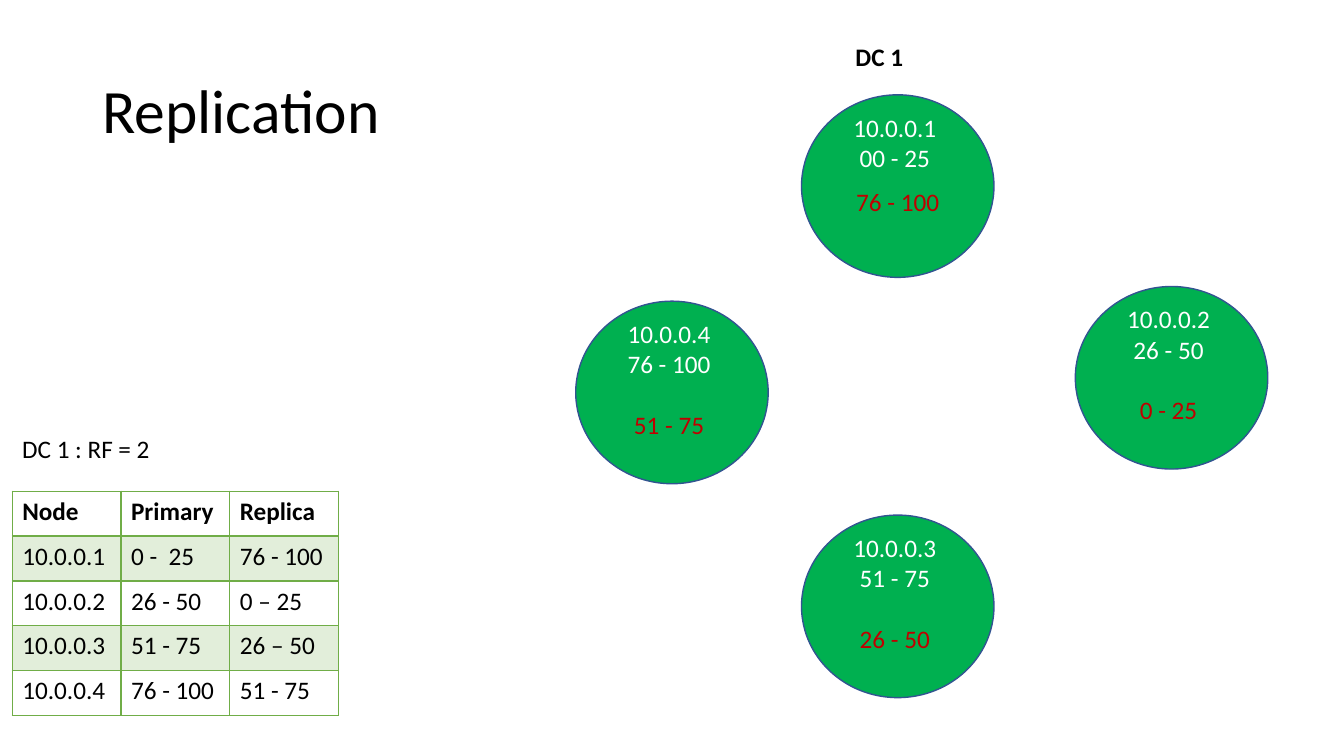
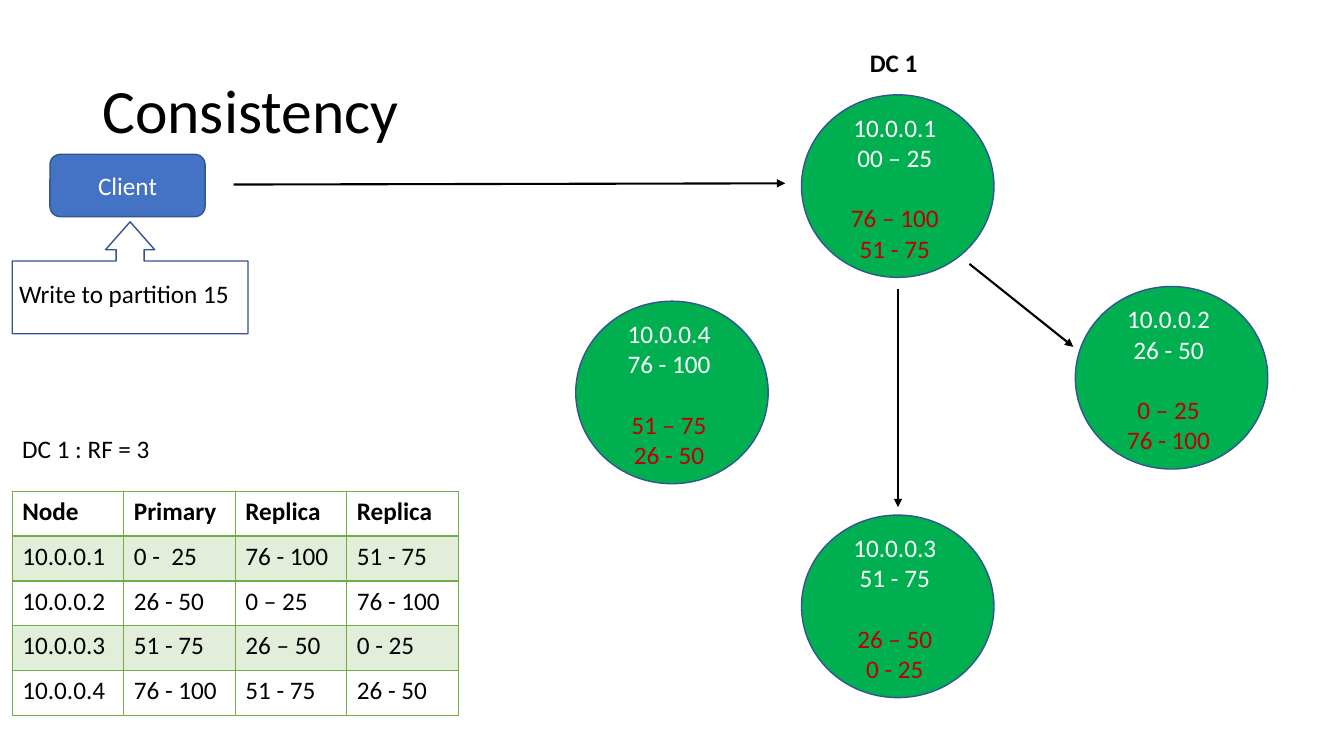
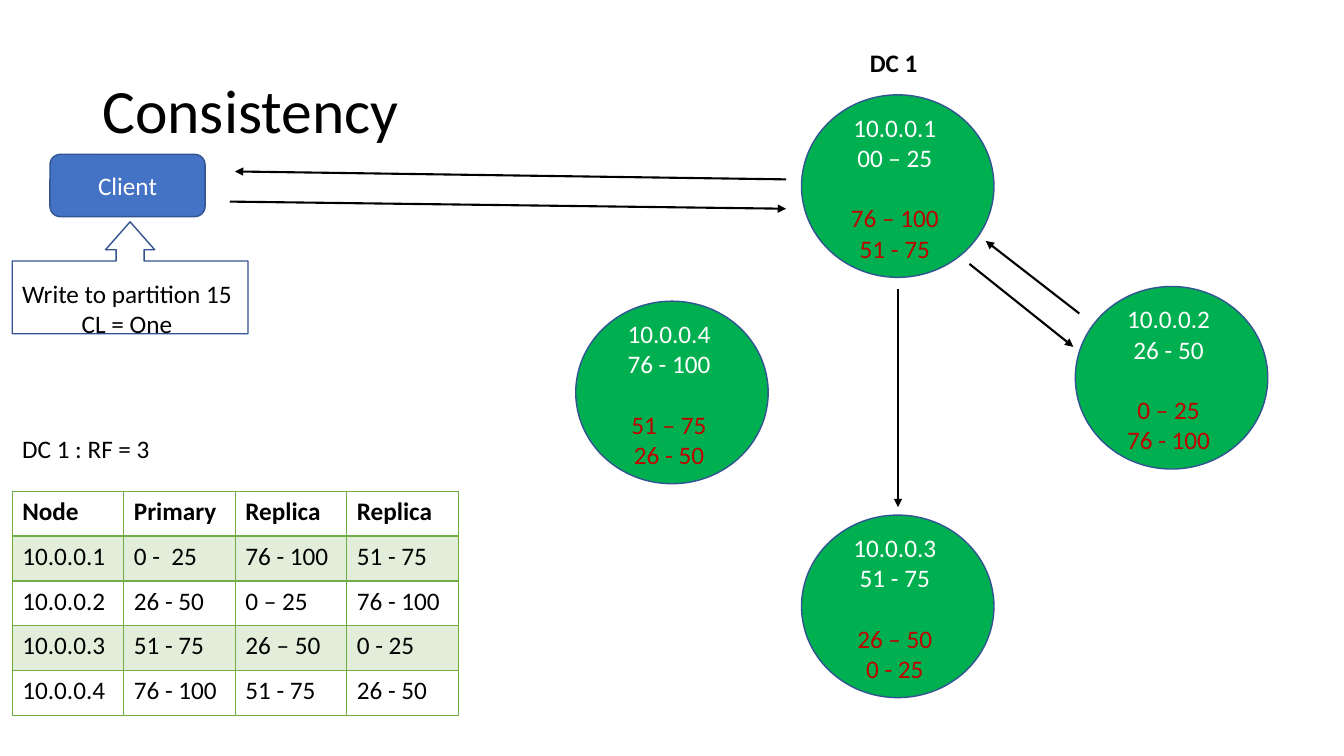
from lxml import etree
from pptx import Presentation
from pptx.dml.color import RGBColor
from pptx.enum.shapes import MSO_CONNECTOR, MSO_SHAPE
from pptx.enum.text import MSO_ANCHOR, MSO_AUTO_SIZE, PP_ALIGN
from pptx.oxml.ns import qn
from pptx.util import Cm, Pt

ELLIPSE = MSO_SHAPE.OVAL
ROUNDED = MSO_SHAPE.ROUNDED_RECTANGLE
CALLOUT = MSO_SHAPE.UP_ARROW_CALLOUT
STRAIGHT = MSO_CONNECTOR.STRAIGHT
LEFT, CENTER = PP_ALIGN.LEFT, PP_ALIGN.CENTER
MIDDLE = MSO_ANCHOR.MIDDLE
GROW = MSO_AUTO_SIZE.SHAPE_TO_FIT_TEXT

BLACK = RGBColor(0x00, 0x00, 0x00)
WHITE = RGBColor(0xFF, 0xFF, 0xFF)
RED = RGBColor(0xC0, 0x00, 0x00)
NODE_GREEN = RGBColor(0x00, 0xB0, 0x50)
TABLE_GREEN = RGBColor(0x70, 0xAD, 0x47)
CLIENT_BLUE = RGBColor(0x44, 0x72, 0xC4)
OUTLINE = RGBColor(0x32, 0x54, 0x91)

BODY = {"name": "Calibri", "size": Pt(18), "bold": False}
STRONG = {**BODY, "bold": True}
HEADING = {**BODY, "size": Pt(44)}
BLANK_LINE = Pt(21.5)

TITLE_BOX = (2.33, 1.01, 29.21, 3.68)
RING_BOX = (14.51, 2.39, 17.44, 15.33)
CLIENT_BOX = (0.31, 3.89, 5.94, 4.52)
TABLE_BOX = (0.31, 10.8, 11.24, 7.22)
NODE_SIZE = (4.85, 4.6)
NODE_PLACES = [(5.69, 0), (12.59, 4.83), (5.69, 10.59), (0, 5.2)]

ROWS = [
    ["Node", "Primary", "Replica", "Replica"],
    ["10.0.0.1", "0 -  25", "76 - 100", "51 - 75"],
    ["10.0.0.2", "26 - 50", "0 – 25", "76 - 100"],
    ["10.0.0.3", "51 - 75", "26 – 50", "0 - 25"],
    ["10.0.0.4", "76 - 100", "51 - 75", "26 - 50"],
]
TWO_COPIES = [
    (["10.0.0.1", "00 - 25"], []),
    (["10.0.0.2", "26 - 50"], ["0 - 25"]),
    (["10.0.0.3", "51 - 75"], ["26 - 50"]),
    (["10.0.0.4", "76 - 100"], ["51 - 75"]),
]
THREE_COPIES = [
    (["10.0.0.1", "00 – 25"], ["76 – 100", "51 - 75"]),
    (["10.0.0.2", "26 - 50"], ["0 – 25", "76 - 100"]),
    (["10.0.0.3", "51 - 75"], ["26 – 50", "0 - 25"]),
    (["10.0.0.4", "76 - 100"], ["51 – 75", "26 - 50"]),
]
REPLICATE = [((9.92, 4.26), (12.54, 6.35)), ((8.12, 4.9), (8.12, 10.39))]
ACKNOWLEDGE = [((12.69, 5.51), (10.33, 3.68))]
WRITE = [((5.58, 0.76), (19.48, 0.73))]
WRITE_AND_REPLY = [((5.48, 1.19), (19.5, 1.37)), ((19.5, 0.63), (5.61, 0.43))]


def apply(target, values):
    for name, value in values.items():
        setattr(target, name, value)


def inside(box, left, top, width, height):
    return box[0] + left, box[1] + top, width, height


def write_line(para, line, style, color, para_format):
    apply(para, para_format)
    span = para.add_run()
    span.text = line
    apply(span.font, style)
    span.font.color.rgb = color


def write(frame, lines, style=BODY, color=BLACK, **para_format):
    for index, line in enumerate(lines):
        para = frame.add_paragraph() if index else frame.paragraphs[0]
        write_line(para, line, style, color, para_format)


def add_text(page, box, lines, style=BODY, color=BLACK, frame_format=None, **para_format):
    frame = page.shapes.add_textbox(*map(Cm, box)).text_frame
    apply(frame, {"word_wrap": True, **(frame_format or {"auto_size": GROW})})
    write(frame, lines, style, color, **para_format)
    return frame


def add_outlined(page, kind, box, fill=None):
    shape = page.shapes.add_shape(kind, *map(Cm, box))
    shape.shadow.inherit = False
    if fill is None:
        shape.fill.background()
    else:
        shape.fill.solid()
        shape.fill.fore_color.rgb = fill
    shape.line.color.rgb = OUTLINE
    shape.line.width = Pt(1)
    return shape


def add_arrows(page, box, arrows):
    for start, end in arrows:
        ends = [Cm(box[axis] + point[axis]) for point in (start, end) for axis in (0, 1)]
        arrow = page.shapes.add_connector(STRAIGHT, *ends)
        arrow.line.color.rgb = BLACK
        arrow.line.width = Pt(1.5)
        etree.SubElement(arrow.line._get_or_add_ln(), qn("a:tailEnd"), type="triangle")
        etree.SubElement(arrow._element.spPr, qn("a:effectLst"))


def add_node(page, box, labels, replicas):
    circle = add_outlined(page, ELLIPSE, box, NODE_GREEN)
    lines = len(labels) + (len(replicas) + 1 if replicas else 0)
    text_box = inside(box, 0.85, 0.31, 3, 0.25 + 0.77 * lines)
    frame = add_text(page, text_box, labels, color=WHITE,
                     frame_format={"word_wrap": False, "auto_size": GROW}, alignment=CENTER)
    for index, replica in enumerate(replicas):
        gap = Pt(0) if index else BLANK_LINE
        write_line(frame.add_paragraph(), replica, BODY, RED,
                   {"alignment": CENTER, "space_before": gap})
    return circle


def add_ring(page, box, nodes, label_place):
    circles = [add_node(page, inside(box, *place, *NODE_SIZE), *node)
               for place, node in zip(NODE_PLACES, nodes)]
    add_text(page, inside(box, *label_place, 2.49, 1.02), ["DC 1"], STRONG)
    return circles


def border_cell(cell, bottom_width):
    properties = cell._tc.get_or_add_tcPr()
    for index, side in enumerate(("lnL", "lnR", "lnT", "lnB")):
        width = bottom_width if side == "lnB" else Pt(1)
        edge = etree.Element(qn(f"a:{side}"), w=str(width))
        paint = etree.SubElement(edge, qn("a:solidFill"))
        etree.SubElement(paint, qn("a:srgbClr"), val=str(TABLE_GREEN))
        properties.insert(index, edge)


def fill_cell(cell, banded):
    if not banded:
        cell.fill.background()
        return
    cell.fill.solid()
    cell.fill.fore_color.rgb = TABLE_GREEN
    color = cell._tc.tcPr.find(qn("a:solidFill")).find(qn("a:srgbClr"))
    etree.SubElement(color, qn("a:alpha"), val="20000")


def add_replica_table(page, box, factor, column_width):
    add_text(page, inside(box, 0, 0, 4.62, 1.02), [f"DC 1 : RF = {factor}"])
    columns = factor + 1
    table_box = inside(box, 0, 1.58, column_width * columns, 5.65)
    table = page.shapes.add_table(len(ROWS), columns, *map(Cm, table_box)).table
    apply(table, {"first_row": False, "horz_banding": False})
    for row, values in enumerate(ROWS):
        for column, value in enumerate(values[:columns]):
            cell = table.cell(row, column)
            write(cell.text_frame, [value], BODY if row else STRONG)
            fill_cell(cell, row % 2 == 1)
            border_cell(cell, Pt(1) if row else Pt(2))


def add_client(page, box, request, alignment):
    client = add_outlined(page, ROUNDED, inside(box, 0.95, 0, 3.91, 1.57), CLIENT_BLUE)
    client.text_frame.vertical_anchor = MIDDLE
    write(client.text_frame, ["Client"], color=WHITE, alignment=CENTER)
    callout = add_outlined(page, CALLOUT, inside(box, 0, 1.7, 5.94, 2.82))
    for index, value in enumerate((0.25, 0.22, 0.25, 0.65)):
        callout.adjustments[index] = value
    height = 0.25 + 0.77 * len(request)
    add_text(page, inside(box, -0.08, 2.99, 5.94, height), request, alignment=alignment)


def add_page(deck, title):
    page = deck.slides.add_slide(deck.slide_layouts[6])
    add_text(page, TITLE_BOX, [title], HEADING,
             frame_format={"vertical_anchor": MIDDLE}, line_spacing=0.9)
    return page


def replication_page(deck):
    page = add_page(deck, "Replication")
    first_circle = add_ring(page, RING_BOX, TWO_COPIES, (6.8, -1.48))[0]
    frame = first_circle.text_frame
    apply(frame, {"vertical_anchor": MIDDLE, "margin_top": BLANK_LINE + Cm(0.13)})
    write(frame, ["76 - 100"], color=RED, alignment=CENTER)
    add_replica_table(page, TABLE_BOX, 2, 2.74)


def consistency_page(deck, request, alignment, client_arrows, node_arrows):
    page = add_page(deck, "Consistency")
    add_ring(page, RING_BOX, THREE_COPIES, (7.16, -1.32))
    add_replica_table(page, TABLE_BOX, 3, 2.81)
    add_client(page, CLIENT_BOX, request, alignment)
    add_arrows(page, CLIENT_BOX, client_arrows)
    add_arrows(page, RING_BOX, node_arrows)


def main():
    deck = Presentation()
    apply(deck, {"slide_width": Cm(33.87), "slide_height": Cm(19.05)})
    replication_page(deck)
    consistency_page(deck, ["Write to partition 15"], LEFT, WRITE, REPLICATE)
    consistency_page(deck, ["Write to partition 15", "CL = One"], CENTER,
                     WRITE_AND_REPLY, REPLICATE + ACKNOWLEDGE)
    deck.save("out.pptx")


if __name__ == "__main__":
    main()
